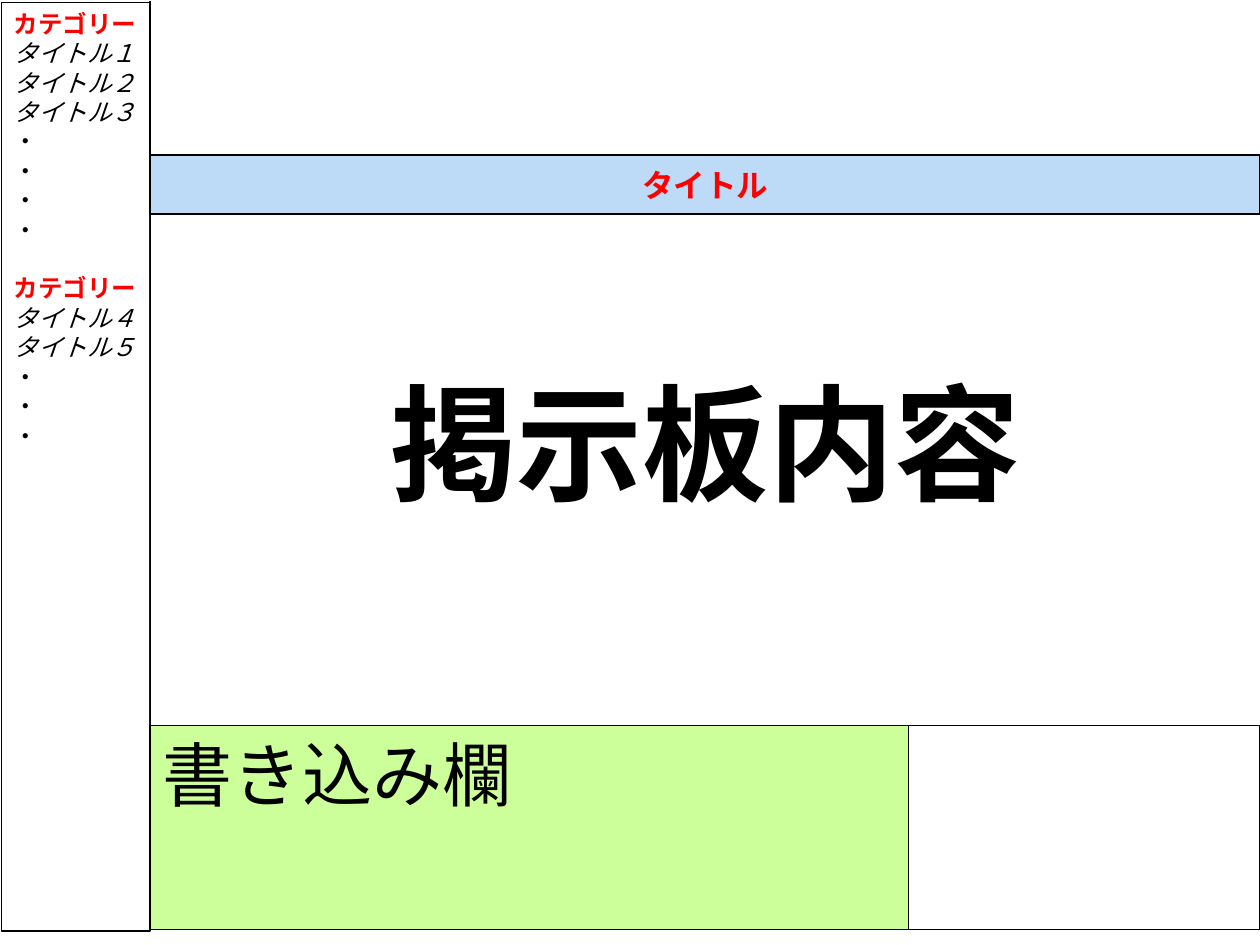
import pptx
import pptx.dml.color
import pptx.enum.shapes
import pptx.enum.text
import pptx.oxml
import pptx.oxml.ns
import pptx.util
from pptx.util import Inches

COLORS = {
    "black": "000000",
    "white": "FFFFFF",
    "red": "FF0000",
    "blue": "7DB6EF",
    "green": "CCFF99",
}
ALIGN = pptx.enum.text.PP_ALIGN
ANCHOR = pptx.enum.text.MSO_ANCHOR


def rgb(name):
    return pptx.dml.color.RGBColor.from_string(COLORS[name])


def add_child(parent, tag, **attributes):
    child = pptx.oxml.parse_xml(f"<{tag} {pptx.oxml.ns.nsdecls('a')}/>")
    for key, value in attributes.items():
        child.set(key, value)
    parent.append(child)


def write_text(paragraph, text, size=14, color="black", bold=False,
               italic=False, align=ALIGN.LEFT, gap=0):
    paragraph.alignment = align
    paragraph.line_spacing = pptx.util.Pt(size * 1.2)
    paragraph.space_before = pptx.util.Pt(gap)
    run = paragraph.add_run()
    run.text = text
    font = run.font
    font.size = pptx.util.Pt(size)
    font.bold = bold
    font.italic = italic
    font.color.rgb = rgb(color)
    font.name = "Arial"
    add_child(run._r.get_or_add_rPr(), "a:ea", typeface="Arial")


class Board:
    line_width = 0.74

    def __init__(self, slide):
        self.slide = slide

    def line(self, x1, y1, x2, y2):
        connector = self.slide.shapes.add_connector(
            pptx.enum.shapes.MSO_CONNECTOR.STRAIGHT,
            Inches(x1), Inches(y1), Inches(x2), Inches(y2))
        connector.line.color.rgb = rgb("black")
        connector.line.width = pptx.util.Pt(self.line_width)
        add_child(connector._element.spPr, "a:effectLst")

    def box(self, left, top, width, height, fill, opacity=100,
            line_width=line_width, anchor=ANCHOR.TOP, texts=()):
        shape = self.slide.shapes.add_shape(
            pptx.enum.shapes.MSO_SHAPE.RECTANGLE,
            Inches(left), Inches(top), Inches(width), Inches(height))
        shape.shadow.inherit = False
        shape.fill.solid()
        shape.fill.fore_color.rgb = rgb(fill)
        if opacity < 100:
            color = shape._element.spPr.find(".//" + pptx.oxml.ns.qn("a:srgbClr"))
            add_child(color, "a:alpha", val=str(opacity * 1000))
        shape.line.color.rgb = rgb("black")
        shape.line.width = pptx.util.Pt(line_width)
        frame = shape.text_frame
        frame.word_wrap = True
        frame.vertical_anchor = anchor
        for index, (text, style) in enumerate(texts):
            paragraph = frame.add_paragraph() if index else frame.paragraphs[0]
            write_text(paragraph, text, **style)


presentation = pptx.Presentation()
presentation.slide_width = Inches(10)
presentation.slide_height = Inches(7.5)
board = Board(presentation.slides.add_slide(presentation.slide_layouts[6]))

# Page grid
side = 1.19
main_width = 10 - side
title_top = 1.23
form_top, form_height = 5.76, 1.62

# Category sidebar: titles, then dots standing for further titles
sidebar = []
for numbers, dots in (("１２３", 4), ("４５", 3)):
    gap = 16.8 if sidebar else 0
    sidebar.append(("カテゴリー", {"color": "red", "bold": True, "gap": gap}))
    sidebar += [("タイトル" + number, {"italic": True}) for number in numbers]
    sidebar += [("・", {})] * dots
board.line(side, 0.01, side, 7.38)
board.box(0.01, 0.02, 1.18, 7.37, "white", texts=sidebar)

# Board content and its title bar
board.box(side, title_top, main_width, 4.54, "white", opacity=80,
          line_width=0.26, anchor=ANCHOR.MIDDLE,
          texts=[("掲示板内容", {"size": 72, "bold": True, "align": ALIGN.CENTER})])
board.box(side, title_top, main_width, 0.47, "blue", opacity=50,
          anchor=ANCHOR.MIDDLE,
          texts=[("タイトル", {"size": 18, "color": "red", "bold": True,
                           "align": ALIGN.CENTER})])

# Posting form
board.box(side, form_top, main_width, form_height, "white")
board.box(side, form_top, 6.02, form_height, "green",
          texts=[("書き込み欄", {"size": 40})])

presentation.save("out.pptx")
